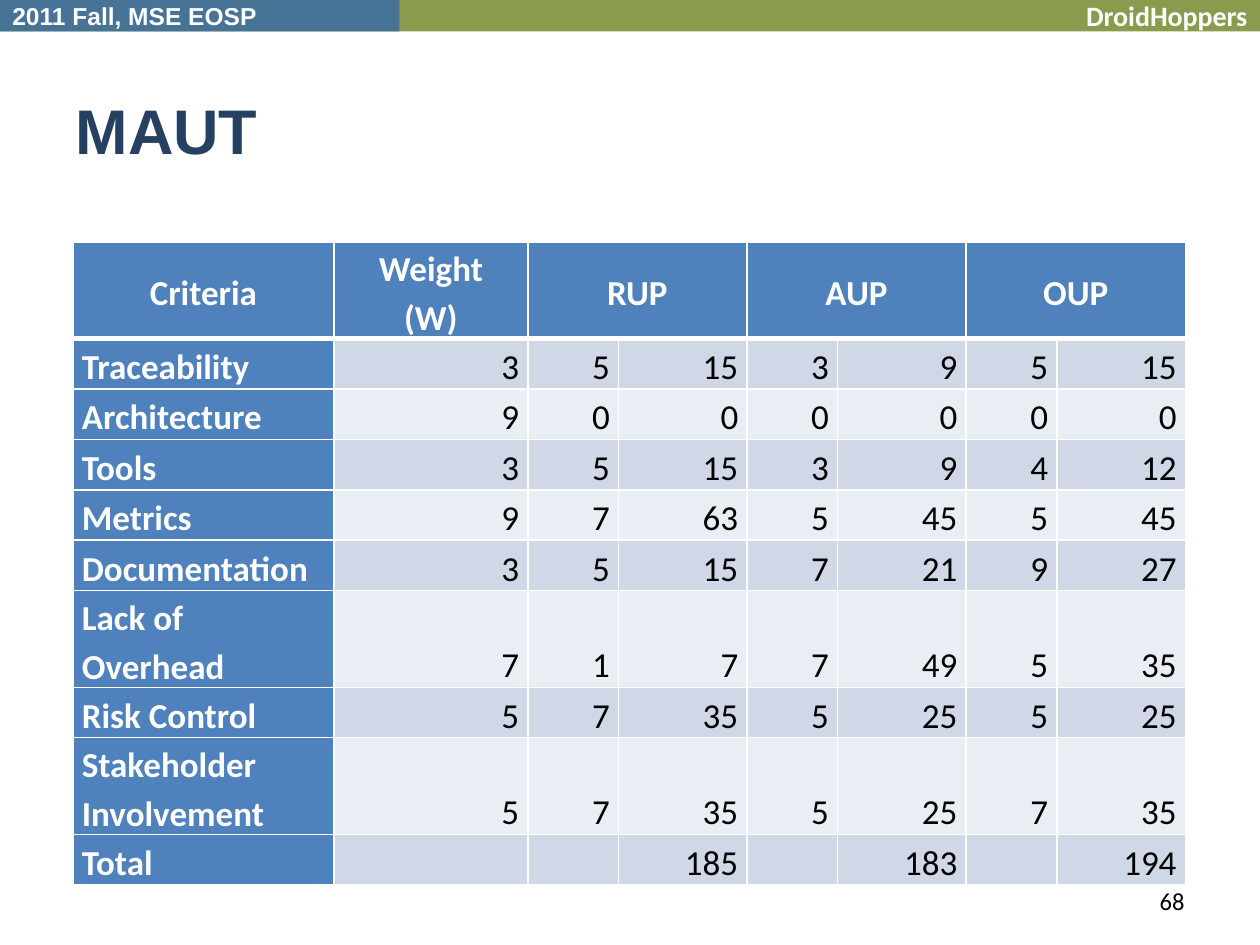
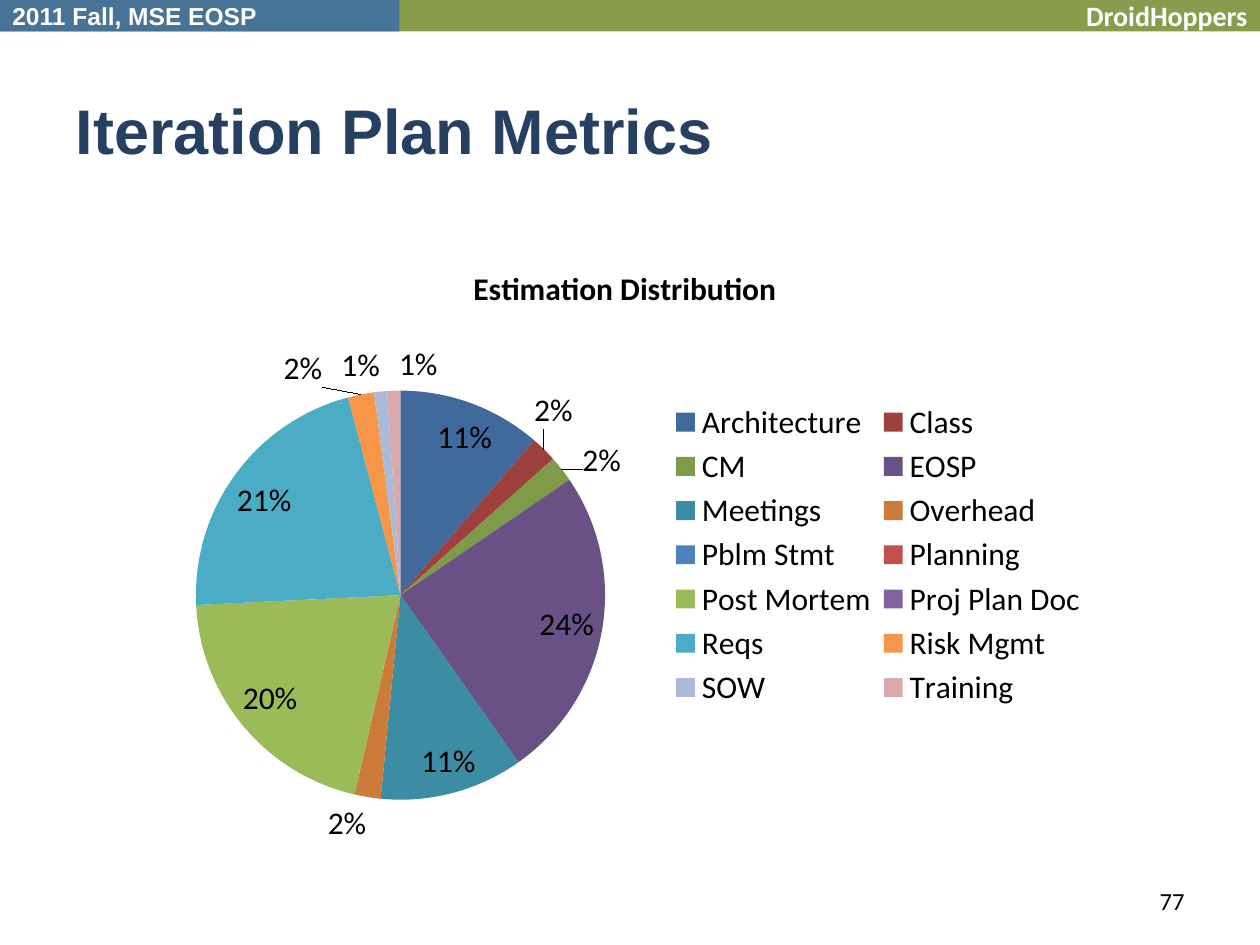
from lxml import etree
from pptx import Presentation
from pptx.chart.data import CategoryChartData
from pptx.dml.color import RGBColor
from pptx.enum.chart import XL_CHART_TYPE, XL_LABEL_POSITION, XL_LEGEND_POSITION
from pptx.enum.shapes import MSO_SHAPE
from pptx.enum.text import MSO_ANCHOR, PP_ALIGN
from pptx.oxml.ns import qn
from pptx.util import Inches, Pt

PIE = XL_CHART_TYPE.PIE
FIT = XL_LABEL_POSITION.BEST_FIT
SIDE = XL_LEGEND_POSITION.RIGHT
RECT = MSO_SHAPE.RECTANGLE
MID, LOW = MSO_ANCHOR.MIDDLE, MSO_ANCHOR.BOTTOM
LEFT, MID_X, RIGHT = PP_ALIGN.LEFT, PP_ALIGN.CENTER, PP_ALIGN.RIGHT

WHITE, BLACK, NAVY = "FFFFFF", "000000", "254061"
GREEN, STEEL, BLUE = "899C4E", "477397", "4F81BD"
STRIPES = ["D0D8E8", "E9EDF4"]

GOALS = [
    ("Traceability", 3, (5, 3, 5)),
    ("Architecture", 9, (0, 0, 0)),
    ("Tools", 3, (5, 3, 4)),
    ("Metrics", 9, (7, 5, 5)),
    ("Documentation", 3, (5, 7, 9)),
    ("Lack of Overhead", 7, (1, 7, 5)),
    ("Risk Control", 5, (7, 5, 5)),
    ("Stakeholder Involvement", 5, (7, 5, 7)),
]
TASKS = [
    ("Architecture", 11, "40699C"),
    ("Class", 2, "9E413E"),
    ("CM", 2, "7F9A48"),
    ("EOSP", 24, "695185"),
    ("Meetings", 11, "3C8DA3"),
    ("Overhead", 2, "CC7B38"),
    ("Pblm Stmt", 0, "4F81BD"),
    ("Planning", 0, "C0504D"),
    ("Post Mortem", 20, "9BBB59"),
    ("Proj Plan Doc", 0, "8064A2"),
    ("Reqs", 21, "4BACC6"),
    ("Risk Mgmt", 2, "F79646"),
    ("SOW", 1, "AABAD7"),
    ("Training", 1, "D9AAA9"),
]


def rgb(code):
    """Turn a hex string into a colour."""
    return RGBColor.from_string(code)


def box(*sides):
    """Turn left, top, width and height into lengths."""
    return [Inches(side) for side in sides]


def style(font, color, **form):
    """Set a font from format values."""
    for key, value in form.items():
        setattr(font, key, value)
    font.color.rgb = rgb(color)


def edge(cell, **sides):
    """Draw white cell borders of the given widths."""
    props = cell._tc.get_or_add_tcPr()
    for side, width in sides.items():
        line = etree.SubElement(props, qn("a:ln" + side), w=str(Pt(width)))
        fill = etree.SubElement(line, qn("a:solidFill"))
        etree.SubElement(fill, qn("a:srgbClr"), val=WHITE)


def layout(**parts):
    """Make a manual chart layout from fractions of the chart."""
    root = etree.Element(qn("c:layout"))
    form = etree.SubElement(root, qn("c:manualLayout"))
    for key, value in parts.items():
        etree.SubElement(form, qn("c:" + key), val=str(value))
    return root


def drop(root, tag):
    """Remove the children that have a tag."""
    for old in root.findall(qn(tag)):
        root.remove(old)


class Deck:
    """Hold the shared style and the current slide."""

    def __init__(self):
        """Start an empty deck."""
        self.file = Presentation()
        self.file.slide_width, self.file.slide_height = box(10, 7.5)
        self.slide = None

    def page(self, title, number):
        """Add a slide with bands, title and page number."""
        self.slide = self.file.slides.add_slide(self.file.slide_layouts[5])
        self.band(10, GREEN, "DroidHoppers", RIGHT, name="Calibri", size=Pt(16))
        self.band(3.17, STEEL, "2011 Fall, MSE EOSP", LEFT, name="Arial", size=Pt(14))
        head = self.slide.shapes.title
        head.left, head.top, head.width, head.height = box(0.5, 0.55, 9, 0.95)
        self.label(head.text_frame, title, LEFT, MID, NAVY,
                   name="Arial", size=Pt(36), bold=True)
        foot = self.slide.shapes.add_textbox(*box(7.17, 6.95, 2.33, 0.4))
        self.label(foot.text_frame, str(number), RIGHT, MID, BLACK,
                   name="Calibri", size=Pt(14))

    def label(self, frame, text, align, anchor, color, **form):
        """Fill a text frame with one styled paragraph."""
        frame.text = text
        frame.word_wrap = True
        frame.vertical_anchor = anchor
        para = frame.paragraphs[0]
        para.alignment = align
        for run in para.runs:
            style(run.font, color, **form)
        return para

    def band(self, width, fill, text, align, **form):
        """Add a labelled band at the top edge."""
        shape = self.slide.shapes.add_shape(RECT, *box(0, 0, width, 0.25))
        shape.shadow.inherit = False
        shape.fill.solid()
        shape.fill.fore_color.rgb = rgb(fill)
        shape.line.fill.background()
        self.label(shape.text_frame, text, align, MID, WHITE, bold=True, **form)

    def cell(self, cell, text, align, anchor, fill, color, bold):
        """Fill one table cell."""
        cell.margin_left = cell.margin_right = Inches(0.07)
        cell.margin_top = cell.margin_bottom = 0
        cell.fill.solid()
        cell.fill.fore_color.rgb = rgb(fill)
        para = self.label(cell.text_frame, text, align, None, color,
                          name="Calibri", size=Pt(20), bold=bold)
        para.line_spacing = 1.15
        cell.vertical_anchor = anchor

    def table(self, rows, place, widths, heights):
        """Add a table with a header row and a header column."""
        grid = self.slide.shapes.add_table(len(rows), len(widths), *place).table
        for col, width in zip(grid.columns, widths):
            col.width = Inches(width)
        for row, height in zip(grid.rows, heights):
            row.height = Inches(height)
        for y, row in enumerate(rows):
            for x, text in enumerate(row):
                cell = grid.cell(y, x)
                edge(cell, L=1, R=1, T=3 if y == 1 else 1, B=1 if y else 3)
                if y == 0:
                    look = MID_X, MID, BLUE, WHITE, True
                elif x == 0:
                    look = LEFT, LOW, BLUE, WHITE, True
                else:
                    look = RIGHT, LOW, STRIPES[(y - 1) % 2], BLACK, False
                self.cell(cell, str(text), *look)
        for x in range(2, len(widths), 2):
            grid.cell(0, x).merge(grid.cell(0, x + 1))

    def pie(self, title, items, place):
        """Add a pie chart with a legend at its side."""
        names, values, colors = zip(*items)
        data = CategoryChartData()
        data.categories = names
        data.add_series(title, values)
        chart = self.slide.shapes.add_chart(PIE, *place, data).chart
        form = {"name": "Calibri", "size": Pt(18)}
        style(chart.font, BLACK, **form)
        self.label(chart.chart_title.text_frame, title, MID_X, None, BLACK,
                   bold=True, **form)
        plot = chart.plots[0]
        plot.vary_by_categories = True
        for spot, color in enumerate(colors):
            fill = plot.series[0].points[spot].format.fill
            fill.solid()
            fill.fore_color.rgb = rgb(color)
        plot.has_data_labels = True
        tags = plot.data_labels
        marks = {"show_value": True, "show_percentage": False, "position": FIT,
                 "number_format": '0"%";;', "number_format_is_linked": False}
        for key, value in marks.items():
            setattr(tags, key, value)
        style(tags.font, BLACK, **form)
        drop(tags._element, "c:showLeaderLines")
        etree.SubElement(tags._element, qn("c:showLeaderLines"), val="1")
        chart.has_legend = True
        legend = chart.legend
        legend.position = SIDE
        legend.include_in_layout = False
        style(legend.font, BLACK, **form)
        modes = {"xMode": "edge", "yMode": "edge"}
        drop(legend._element, "c:layout")
        legend._element.find(qn("c:legendPos")).addnext(
            layout(**modes, x=0.54, y=0.25, w=0.45, h=0.51))
        area = chart._chartSpace.find(".//" + qn("c:plotArea"))
        drop(area, "c:layout")
        area.insert(0, layout(layoutTarget="inner", **modes,
                              x=0.05, y=0.24, w=0.43, h=0.66))


def scores():
    """Work out the weighted score rows."""
    rows = [["Criteria", "Weight\v(W)", "RUP", "", "AUP", "", "OUP", ""]]
    total = ["Total", ""]
    for name, weight, marks in GOALS:
        pairs = [[mark, mark * weight] for mark in marks]
        rows.append([name, weight] + sum(pairs, []))
    for x in (3, 5, 7):
        total += ["", sum(row[x] for row in rows[1:])]
    return rows + [total]


def main():
    """Build both slides."""
    deck = Deck()
    deck.page("MAUT", 68)
    heights = [0.75] + [0.4] * 7 + [0.69, 0.4]
    deck.table(scores(), box(0.58, 1.92, 8.83, 5.12),
               [2.07, 1.54] + [0.72, 1.02] * 3, heights)
    deck.page("Iteration Plan Metrics", 77)
    deck.pie("Estimation Distribution", TASKS, box(1.17, 1.92, 7.58, 4.92))
    deck.file.save("out.pptx")


if __name__ == "__main__":
    main()
